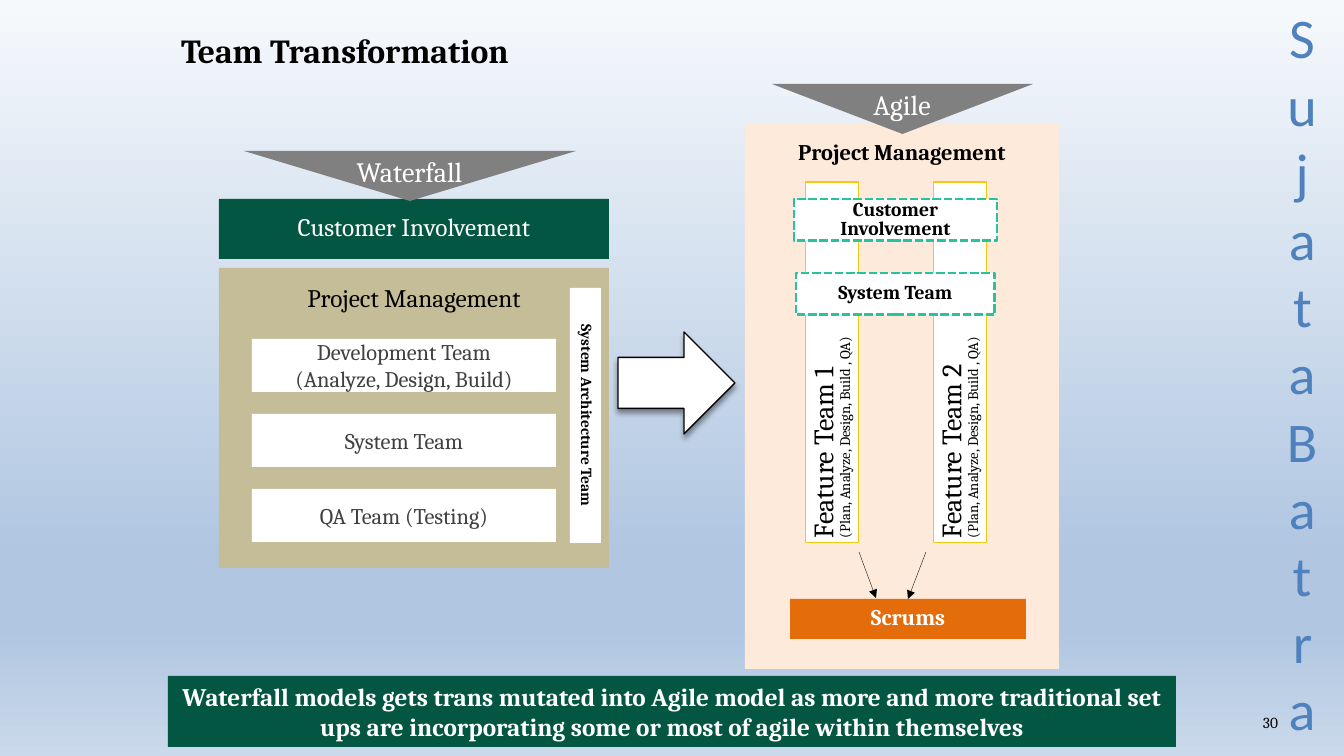
import dataclasses

import lxml.etree
import pptx
import pptx.dml.color
import pptx.enum.dml
import pptx.enum.shapes
import pptx.enum.text
import pptx.oxml
import pptx.oxml.ns
import pptx.util

PX = 12192000 / 1344
SHAPE = pptx.enum.shapes.MSO_SHAPE
ALIGN = pptx.enum.text.PP_ALIGN
ANCHOR = pptx.enum.text.MSO_ANCHOR
qn = pptx.oxml.ns.qn


@dataclasses.dataclass(frozen=True)
class Theme:
    """Colours and type sizes of the deck."""
    font: str = "Cambria"
    side_font: str = "Calibri"
    black: str = "000000"
    white: str = "FFFFFF"
    ink: str = "404040"
    green: str = "035642"
    khaki: str = "C4BD97"
    peach: str = "FDEADA"
    yellow: str = "F4C910"
    teal: str = "27C39A"
    orange: str = "E46C0A"
    gray: str = "808080"
    side_blue: str = "4F81BD"
    sky: tuple = ((0, "F6F9FC"), (74, "B0C6E1"), (83, "B0C6E1"), (100, "CAD9EB"))
    title: float = 24
    label: float = 20
    heading: float = 18
    body: float = 16
    tag: float = 14
    small: float = 11
    note: float = 10.5
    side: float = 40


THEME = Theme()


def px(value):
    """Turn pixels into EMU."""
    return pptx.util.Emu(round(value * PX))


def rgb(value):
    """Turn a hex string into a colour."""
    return pptx.dml.color.RGBColor.from_string(value)


def apply(target, formats):
    """Set each format value on the target."""
    for name, value in formats.items():
        setattr(target, name, value)


def write(shape, lines, color=THEME.black, bold=False, align=ALIGN.CENTER,
          spacing=None, font=THEME.font, vert=None, **frame_formats):
    """Fill a shape with (text, size) lines, one paragraph each."""
    frame = shape.text_frame
    apply(frame, {"word_wrap": True, **frame_formats})
    if vert:
        shape.element.txBody.bodyPr.set("vert", vert)
    for index, (text, size) in enumerate(lines):
        para = frame.add_paragraph() if index else frame.paragraphs[0]
        apply(para, {"alignment": align, "line_spacing": spacing})
        span = para.add_run()
        span.text = text
        apply(span.font, {"name": font, "size": pptx.util.Pt(size), "bold": bold})
        span.font.color.rgb = rgb(color)


def block(shapes, box, fill, kind=SHAPE.RECTANGLE, line=None, width=1, dash=None):
    """Add a flat filled shape at box, with an optional outline."""
    shape = shapes.add_shape(kind, *map(px, box))
    shape.shadow.inherit = False
    shape.fill.solid()
    shape.fill.fore_color.rgb = rgb(fill)
    if line:
        shape.line.color.rgb = rgb(line)
        apply(shape.line, {"width": pptx.util.Pt(width), "dash_style": dash})
    else:
        shape.line.fill.background()
    return shape


def panel(shapes, box, fill, lines, top=5, outline=None, **formats):
    """Add a rectangle with text inside narrow margins."""
    shape = block(shapes, box, fill, **(outline or {}))
    margins = {"margin_left": px(9), "margin_right": px(9),
               "margin_top": px(top), "margin_bottom": px(5)}
    write(shape, lines, **{"vertical_anchor": ANCHOR.MIDDLE, **margins, **formats})
    return shape


def marker(page, box, text, label_width):
    """Add a grouped downward triangle with its label."""
    left, top, width, height = box
    group = page.shapes.add_group_shape()
    block(group.shapes, box, THEME.gray, SHAPE.FLOWCHART_MERGE)
    label_left = left + (width - label_width) // 2
    label = group.shapes.add_textbox(*map(px, (label_left, top + 5, label_width, 37)))
    write(label, [(text, THEME.label)], THEME.white, spacing=0.8, word_wrap=False)


def arrow_line(page, start, end):
    """Add a thin line with an arrowhead at its end."""
    line = page.shapes.add_connector(
        pptx.enum.shapes.MSO_CONNECTOR.STRAIGHT, *map(px, (*start, *end)))
    line.line.color.rgb = rgb(THEME.black)
    line.line.width = pptx.util.Pt(0.25)
    lxml.etree.SubElement(line.line._get_or_add_ln(), qn("a:tailEnd"), type="triangle")
    lxml.etree.SubElement(line.element.spPr, qn("a:effectLst"))
    return line


def backdrop(page):
    """Paint the vertical sky gradient."""
    fill = page.background.fill
    fill.gradient()
    fill.gradient_angle = 270
    stops = next(page.background._cSld.iter(qn("a:gsLst")))
    for stop in list(stops):
        stops.remove(stop)
    for position, color in THEME.sky:
        stop = lxml.etree.SubElement(stops, qn("a:gs"), pos=str(position * 1000))
        lxml.etree.SubElement(stop, qn("a:srgbClr"), val=color)


def margin_texts(page, box):
    """Add the page number and the name running down the right edge."""
    left, top, width, height = box
    number = page.shapes.add_textbox(*map(px, (left, top + 710, 313, 40)))
    write(number, [("30", THEME.small)], align=ALIGN.RIGHT)
    side = page.shapes.add_textbox(*map(px, (left + width - 56, top, 56, height)))
    write(side, [("Sujata Batra", THEME.side)], THEME.side_blue, font=THEME.side_font)


def heading(page, box):
    """Place the title placeholder."""
    title = page.shapes.title
    apply(title, dict(zip(("left", "top", "width", "height"), map(px, box))))
    write(title, [("Team Transformation", THEME.title)], bold=True,
          align=ALIGN.LEFT, vertical_anchor=ANCHOR.MIDDLE)


def waterfall(page, box):
    """Draw the waterfall organisation."""
    left, top, width, height = box
    shapes = page.shapes
    panel(shapes, (left, top + 48, width, 60), THEME.green,
          [("Customer Involvement", THEME.heading)], color=THEME.white, spacing=0.8)
    panel(shapes, (left, top + 117, width, height - 117), THEME.khaki,
          [("Project Management", THEME.heading)], top=20, spacing=0.8,
          vertical_anchor=ANCHOR.TOP)
    teams = (("Development Team", "(Analyze, Design, Build)"),
             ("System Team",), ("QA Team (Testing)",))
    for row, names in enumerate(teams):
        panel(shapes, (left + 33, top + 188 + 75 * row, 304, 53), THEME.white,
              [(name, THEME.body) for name in names], color=THEME.ink)
    panel(shapes, (left + 351, top + 137, 31, 255), THEME.white,
          [("System Architecture Team", THEME.small)], bold=True, spacing=0.8, vert="vert")
    marker(page, (left + 25, top, 332, 50), "Waterfall", 131)


def agile(page, box):
    """Draw the agile organisation."""
    left, top, width, height = box
    shapes = page.shapes
    panel(shapes, (left, top + 39, width, height - 39), THEME.peach,
          [("Project Management", THEME.body)], top=20, bold=True, spacing=0.8,
          vertical_anchor=ANCHOR.TOP)
    for column in range(2):
        panel(shapes, (left + 61 + 128 * column, top + 98, 53, 361), THEME.white,
              [(f"Feature Team {column + 1}", THEME.label),
               ("(Plan, Analyze, Design, Build , QA)", THEME.note)],
              outline={"line": THEME.yellow, "width": 0.75},
              align=ALIGN.LEFT, spacing=0.8, vert="vert270")
    dashed = {"line": THEME.teal, "width": 2, "dash": pptx.enum.dml.MSO_LINE.SQUARE_DOT}
    for text, x, y, tag_width in (("System Team", 51, 189, 199),
                                  ("Customer Involvement", 49, 115, 203)):
        panel(shapes, (left + x, top + y, tag_width, 42), THEME.white,
              [(text, THEME.tag)], outline=dashed, bold=True, spacing=0.8)
    scrums = panel(shapes, (left + 45, top + 515, 236, 40), THEME.orange,
                   [("Scrums", THEME.body)], color=THEME.white, bold=True, spacing=0.8)
    arrow_line(page, (left + 114, top + 468), (left + 131, top + 514))
    joined = arrow_line(page, (left + 181, top + 468), (left + 163, top + 515))
    joined.end_connect(scrums, 0)
    marker(page, (left + 27, top, 261, 50), "Agile", 82)


def transition(page, box):
    """Draw the block arrow with a soft shadow."""
    arrow = block(page.shapes, box, THEME.white, SHAPE.RIGHT_ARROW, THEME.black)
    effects = arrow.element.spPr.find(qn("a:effectLst"))
    shadow = lxml.etree.SubElement(effects, qn("a:outerShdw"), blurRad="50800",
                                   dist="38100", dir="5400000", rotWithShape="0")
    color = lxml.etree.SubElement(shadow, qn("a:srgbClr"), val=THEME.black)
    lxml.etree.SubElement(color, qn("a:alpha"), val="40000")


def banner(page, box):
    """Draw the closing statement."""
    shape = block(page.shapes, box, THEME.green)
    write(shape, [("Waterfall models gets trans mutated into Agile model as more and more "
                   "traditional set ups are incorporating some or most of agile within "
                   "themselves", THEME.heading)],
          THEME.white, bold=True, vertical_anchor=ANCHOR.TOP)


def main():
    """Build the deck and save it."""
    deck = pptx.Presentation()
    apply(deck, {"slide_width": px(1344), "slide_height": px(756)})
    page = deck.slides.add_slide(deck.slide_layouts[5])
    backdrop(page)
    margin_texts(page, (975, -2, 355, 757))
    heading(page, (171, 25, 918, 50))
    waterfall(page, (219, 151, 390, 417))
    agile(page, (745, 84, 314, 585))
    transition(page, (618, 332, 117, 102))
    banner(page, (168, 676, 1008, 71))
    deck.save("out.pptx")


if __name__ == "__main__":
    main()
